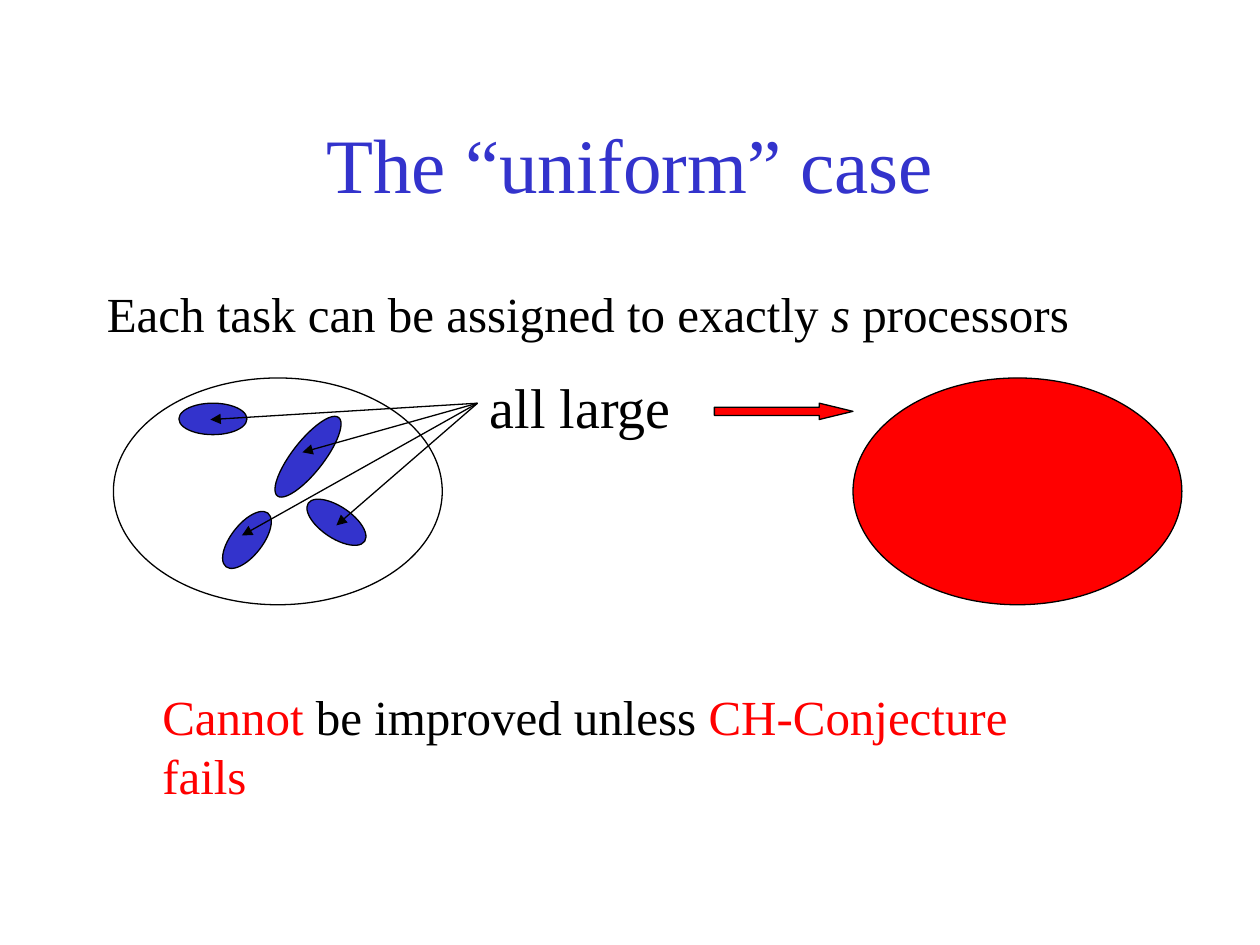
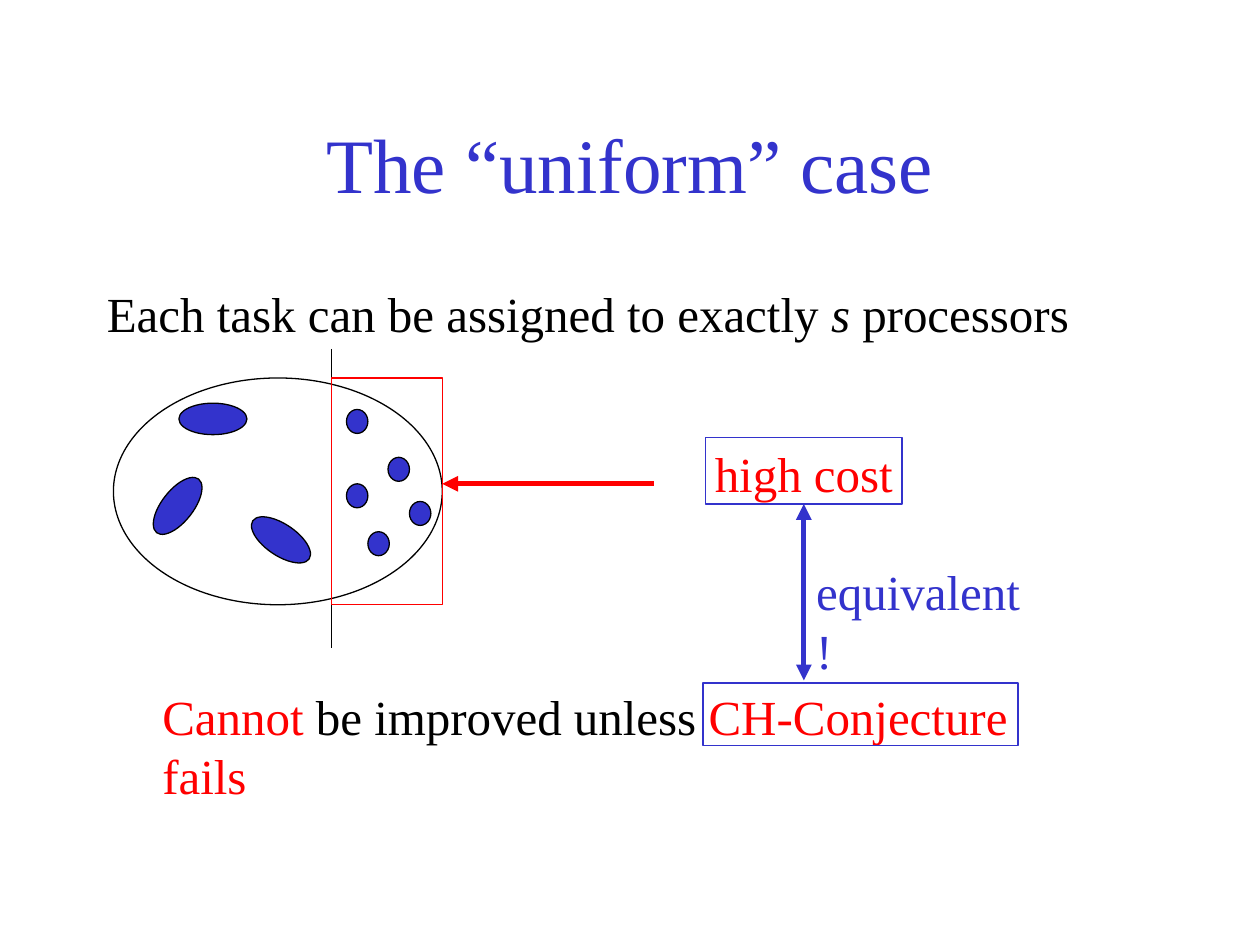
from dataclasses import dataclass
from typing import NamedTuple, Optional

from lxml.etree import SubElement
from pptx import Presentation
from pptx.dml.color import RGBColor
from pptx.enum.shapes import MSO_CONNECTOR, MSO_SHAPE
from pptx.enum.text import MSO_ANCHOR, PP_ALIGN
from pptx.oxml.ns import qn
from pptx.util import Inches, Pt

# Shared look
BLUE = RGBColor(0x33, 0x33, 0xCC)
RED = RGBColor(0xFF, 0x00, 0x00)
BLACK = RGBColor(0x00, 0x00, 0x00)
WHITE = RGBColor(0xFF, 0xFF, 0xFF)
FONT = "Times New Roman"
THIN, THICK = 0.75, 3

# Grid of 100 columns by 75 rows
WIDTH, HEIGHT = Inches(10), Inches(7.5)
COL, ROW = WIDTH // 100, HEIGHT // 75


class Box(NamedTuple):
    x: float
    y: float
    w: float
    h: float

    def emu(self) -> tuple:
        return (round(self.x * COL), round(self.y * ROW),
                round(self.w * COL), round(self.h * ROW))


class Spot(NamedTuple):
    x: float
    y: float

    def emu(self) -> tuple:
        return round(self.x * COL), round(self.y * ROW)


class Run(NamedTuple):
    text: str
    color: RGBColor = BLACK
    slant: bool = False


@dataclass
class Form:
    box: Box
    fill: Optional[RGBColor] = None
    line: RGBColor = BLACK
    turn: float = 0
    kind: MSO_SHAPE = MSO_SHAPE.OVAL


@dataclass
class Link:
    start: Spot
    end: Spot
    color: RGBColor = BLACK
    width: float = THIN
    head: bool = False
    tail: bool = True


# Content and places shared by both slides
TITLE = Run("The “uniform” case", BLUE)
TITLE_BOX = Box(7.5, 6.7, 85, 12.5)
TASK = [Run("Each task can be assigned to exactly "), Run("s", slant=True),
        Run(" processors")]
TASK_BOX = Box(7.5, 22, 86.3, 5.7)
LIMIT = [Run("Cannot", RED), Run(" be improved unless "),
         Run("CH-Conjecture fails", RED)]
LIMIT_BOX = Box(11.9, 54, 76.7, 5.7)
POOL = Box(9, 30, 26.1, 18)
STEEP, SLOPE = 308, 34


def add_run(para, run: Run, size: float) -> None:
    part = para.add_run()
    part.text = run.text
    part.font.name, part.font.size = FONT, Pt(size)
    part.font.color.rgb = run.color
    part.font.italic = run.slant


def add_text(slide, box: Box, runs: list, size: float = 28,
             wrap: bool = False) -> None:
    frame = slide.shapes.add_textbox(*box.emu()).text_frame
    frame.word_wrap = wrap
    for run in runs:
        add_run(frame.paragraphs[0], run, size)


def add_form(slide, form: Form):
    shape = slide.shapes.add_shape(form.kind, *form.box.emu())
    shape.shadow.inherit = False
    shape.rotation = form.turn
    shape.line.color.rgb, shape.line.width = form.line, Pt(THIN)
    if form.fill is None:
        shape.fill.background()
    else:
        shape.fill.solid()
        shape.fill.fore_color.rgb = form.fill
    return shape


def add_frame(slide, box: Box, color: RGBColor):
    return add_form(slide, Form(box, line=color, kind=MSO_SHAPE.RECTANGLE))


def add_link(slide, link: Link):
    line = slide.shapes.add_connector(
        MSO_CONNECTOR.STRAIGHT, *link.start.emu(), *link.end.emu())
    line.line.color.rgb, line.line.width = link.color, Pt(link.width)
    props = line.element.spPr
    stroke = props.find(qn("a:ln"))
    for tag, shown in (("a:headEnd", link.head), ("a:tailEnd", link.tail)):
        if shown:
            SubElement(stroke, qn(tag), type="triangle")
    SubElement(props, qn("a:effectLst"))
    return line


def add_task(slide, x: float, y: float, turn: float = 0,
             w: float = 5.4, h: float = 2.5) -> None:
    add_form(slide, Form(Box(x, y, w, h), BLUE, turn=turn))


def add_base(deck):
    """Slide with the title, both sentences and the pool of processors."""
    slide = deck.slides.add_slide(deck.slide_layouts[5])
    title = slide.shapes.title
    title.left, title.top, title.width, title.height = TITLE_BOX.emu()
    title.text_frame.vertical_anchor = MSO_ANCHOR.MIDDLE
    para = title.text_frame.paragraphs[0]
    para.alignment = PP_ALIGN.CENTER
    add_run(para, TITLE, 44)
    add_text(slide, TASK_BOX, TASK, wrap=True)
    add_text(slide, LIMIT_BOX, LIMIT)
    add_form(slide, Form(POOL, WHITE))
    add_task(slide, 14.2, 32)
    return slide


def add_large(deck) -> None:
    """All tasks are large."""
    slide = add_base(deck)
    add_task(slide, 16.9, 41.6, STEEP)
    add_task(slide, 20.5, 35, STEEP, w=7.9)
    add_task(slide, 24, 40.2, SLOPE)

    # Label and its pointers
    add_text(slide, Box(37.9, 29.1, 16.4, 6.4), [Run("all large")], 32)
    for end in (Spot(24, 35.9), Spot(16.7, 33.3),
                Spot(19.2, 42.5), Spot(26.7, 41.7)):
        add_link(slide, Link(Spot(37.9, 32), end))

    # Fully used pool
    arrow = add_form(slide, Form(Box(56.7, 32, 11, 1.3), RED,
                                 kind=MSO_SHAPE.RIGHT_ARROW))
    arrow.adjustments[0], arrow.adjustments[1] = 0.5, 2.06
    add_form(slide, Form(POOL._replace(x=67.7), RED))


def add_mixed(deck) -> None:
    """Large tasks on the left of the cut, small ones on the right."""
    slide = add_base(deck)
    cut = 26.3
    add_link(slide, Link(Spot(cut, 27.7), Spot(cut, 51.4), tail=False))
    add_task(slide, 11.4, 38.9, STEEP)
    add_task(slide, 19.6, 41.6, SLOPE)
    for x, y in ((27.5, 32.5), (30.8, 36.3), (32.5, 39.8),
                 (27.5, 38.4), (29.2, 42.2)):
        add_task(slide, x, y, w=1.7, h=1.9)

    # High cost of the small tasks
    edge = POOL.x + POOL.w
    add_frame(slide, Box(cut, POOL.y, edge - cut, POOL.h), RED)
    add_link(slide, Link(Spot(51.9, 38.4), Spot(edge, 38.4), RED, THICK))
    cost = add_frame(slide, Box(56, 34.7, 15.6, 5.3), BLUE)
    cost.text_frame.word_wrap = False
    cost.text_frame.vertical_anchor = MSO_ANCHOR.TOP
    para = cost.text_frame.paragraphs[0]
    para.alignment = PP_ALIGN.CENTER
    add_run(para, Run("high cost", RED), 28)

    # Equivalence with the conjecture
    add_frame(slide, Box(55.8, 54.2, 25, 5), BLUE)
    link = add_link(slide, Link(Spot(63.8, 40), Spot(63.8, 54),
                                BLUE, THICK, head=True))
    link.begin_connect(cost, 2)
    add_text(slide, Box(63.8, 44.1, 19.4, 5.7), [Run("equivalent!", BLUE)])


def main() -> None:
    deck = Presentation()
    deck.slide_width, deck.slide_height = WIDTH, HEIGHT
    add_large(deck)
    add_mixed(deck)
    deck.save("out.pptx")


if __name__ == "__main__":
    main()
